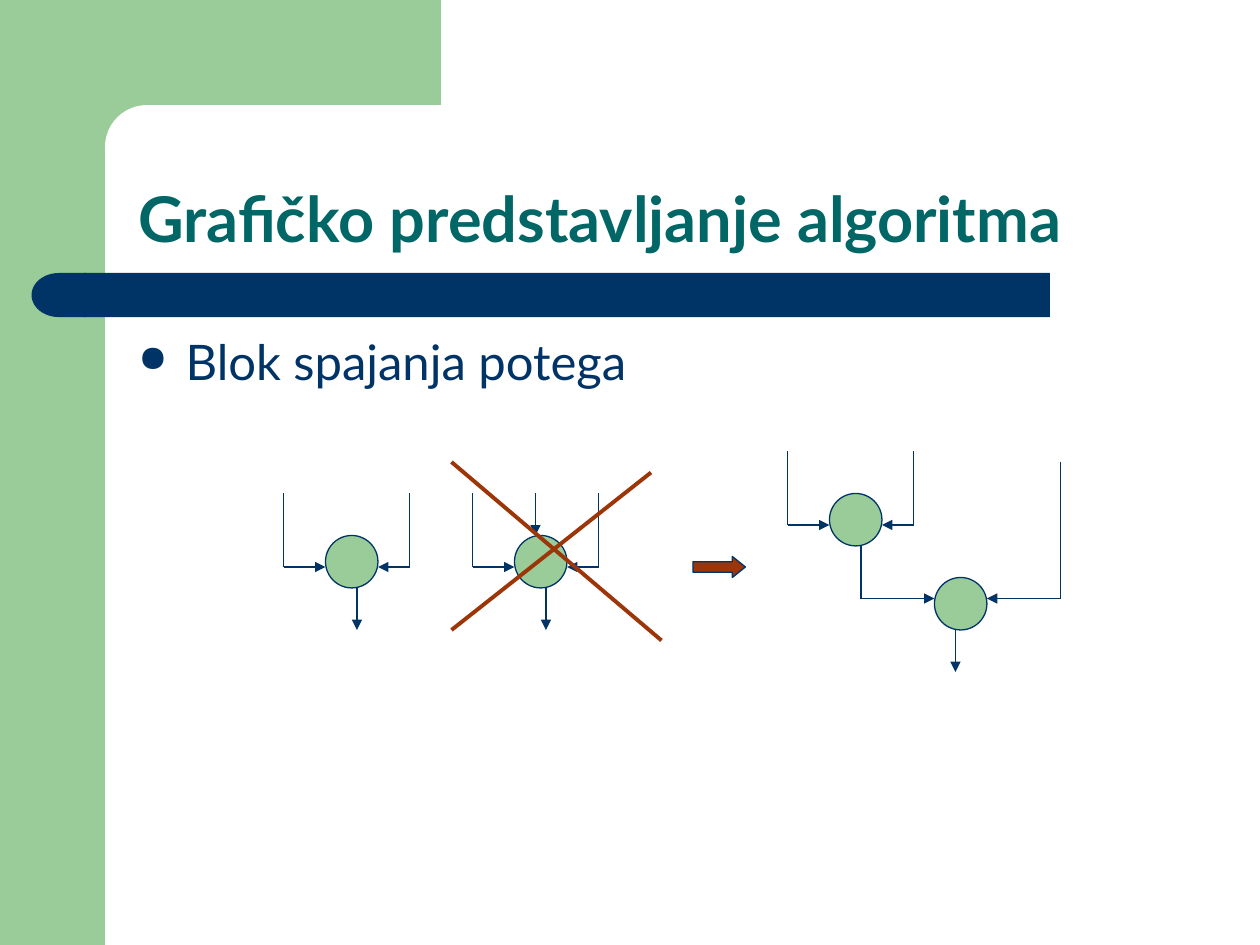
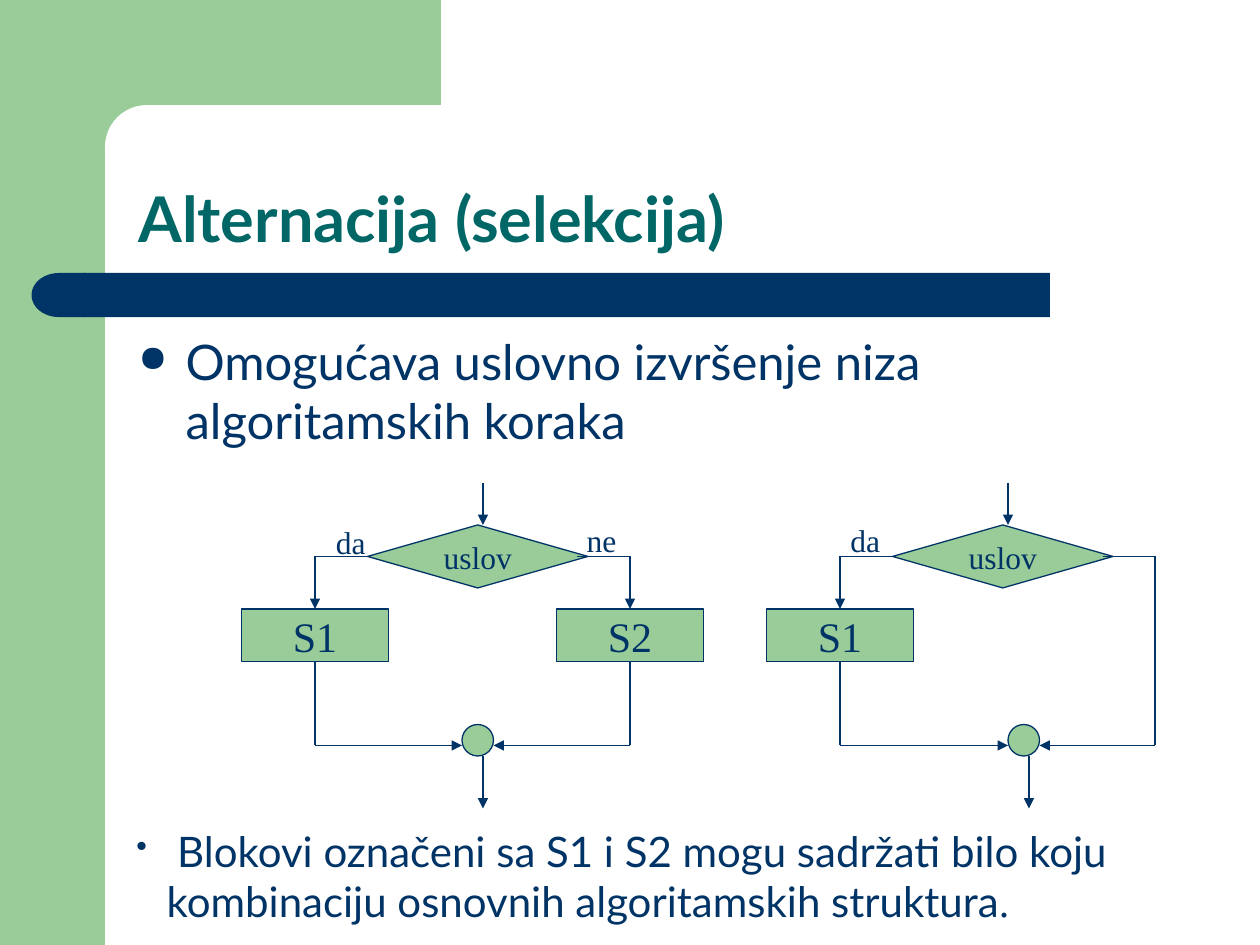
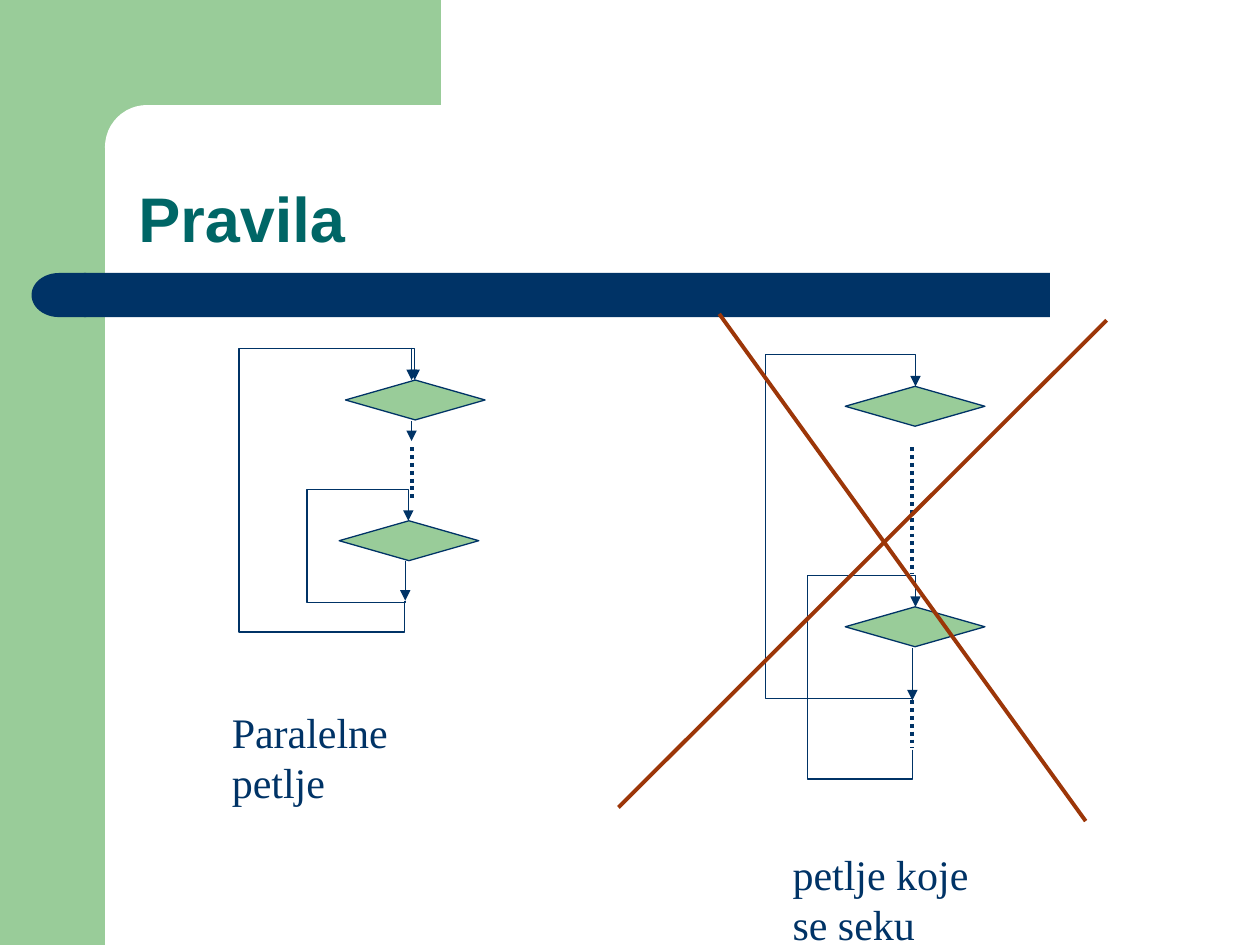
from lxml import etree
from pptx import Presentation
from pptx import util as u
from pptx.dml.color import RGBColor
from pptx.enum import dml, shapes, text
from pptx.oxml.ns import qn

# Shared style
PX = 7620  # EMU per px, 120 px to the inch
GREEN, NAVY, TEAL, RUST, WHITE = "99CC99", "003366", "006666", "9C3608", "FFFFFF"
LATO, ARIAL, TIMES = "Lato", "Arial", "Times New Roman"
S = shapes.MSO_SHAPE
BANDS = [  # kind, box, colour
    (S.RECTANGLE, (0, 0, 100, 900), GREEN),
    (S.RECTANGLE, (90, 0, 330, 140), GREEN),
    (S.ROUNDED_RECTANGLE, (100, 100, 670, 80), WHITE),
    (S.RECTANGLE, (80, 260, 920, 42), NAVY),
    (S.FLOWCHART_DELAY, (30, 260, 52, 42), NAVY),
]

# Content: title, title font, bullet
SLIDES = [
    ("Grafičko predstavljanje algoritma", LATO, "Blok spajanja potega"),
    ("Alternacija (selekcija)", LATO,
     "Omogućava uslovno izvršenje niza algoritamskih koraka"),
    ("Pravila", ARIAL, None),
]
CLOSING = [
    (" ", TIMES),
    ("Blokovi označeni sa S1 i S2 mogu sadržati bilo koju kombinaciju "
     "osnovnih algoritamskih struktura", LATO),
    (".", TIMES),
]

# Slide 1: joins as circle corner, two incoming paths, outgoing x and y range
JOINS = [
    ((310, 510), (270, 470), (390, 470), (340, 560, 600)),
    ((490, 510), (450, 470), (570, 470), (520, 560, 600)),
    ((790, 470), (750, 430), (870, 430), None),
    ((890, 550), (820, 520), (1010, 440), (910, 600, 640)),
]
JOIN_CROSS = [((620, 450), (430, 600)), ((430, 440), (630, 610))]

# Slide 2: offset, join circle x, label of the else branch, else block
BRANCHES = [(0, 440, "ne", "S2"), (500, 960, None, None)]
BRANCH_LABELS = [("da", 308, 492), ("ne", 547, 490), ("da", 798, 490)]

# Slide 3: diamonds, arrows and dots as (x, top, bottom), loops
DIAMONDS = [(329, 362), (323, 496), (805, 368), (805, 578)]
ARROWS = [(392, 331, 362), (392, 401, 420), (386, 534, 572), (869, 617, 667)]
DOTS = [(392, 426, 476), (869, 426, 547), (869, 667, 712)]
LOOPS = [  # start, end, left, bottom, top
    ((385, 572), (395, 362), 228, 602, 332),
    ((386, 572), (389, 496), 293, 574, 466),
    ((869, 666), (872, 368), 730, 665, 338),
    ((869, 714), (872, 578), 770, 742, 548),
]
LOOP_CROSS = [((685, 299), (1034, 782)), ((1054, 305), (589, 769))]
CAPTIONS = [(["Paralelne", "petlje"], (209, 667, 182, 108)),
            (["petlje koje", "se seku"], (743, 802, 192, 108))]


def rgb(color):
    return RGBColor.from_string(color)


def emu(*lengths):
    return [round(v * PX) for v in lengths]


def style_run(r, font, size, color=NAVY, bold=False):
    r.font.name, r.font.size, r.font.bold = font, u.Pt(size), bold
    r.font.color.rgb = rgb(color)


def add_bullet(p, char, hang):
    pPr = p._p.get_or_add_pPr()
    pPr.set("marL", str(hang * PX))
    pPr.set("indent", str(-hang * PX))
    clr = etree.SubElement(pPr, qn("a:buClr"))
    etree.SubElement(clr, qn("a:srgbClr"), val=NAVY)
    etree.SubElement(pPr, qn("a:buSzPct"), val="75000")
    etree.SubElement(pPr, qn("a:buChar"), char=char)


def add_text(s, lines, box, font, size, color=NAVY, bold=False, wrap=True, grow=False):
    tf = s.shapes.add_textbox(*emu(*box)).text_frame
    tf.word_wrap = wrap
    if grow:
        tf.auto_size = text.MSO_AUTO_SIZE.SHAPE_TO_FIT_TEXT
    for i, line in enumerate(lines):
        p = tf.add_paragraph() if i else tf.paragraphs[0]
        p.text = line
        style_run(p.runs[0], font, size, color, bold)
    return tf


def add_shape(s, kind, box, fill=GREEN, line=NAVY, label=None, size=18):
    sp = s.shapes.add_shape(kind, *emu(*box))
    sp.shadow.inherit = False
    sp.fill.solid()
    sp.fill.fore_color.rgb = rgb(fill)
    if line:
        sp.line.color.rgb, sp.line.width = rgb(line), u.Pt(0.75)
    else:
        sp.line.fill.background()
    if label:
        tf = sp.text_frame
        tf.text, tf.word_wrap = label, False
        tf.vertical_anchor = text.MSO_ANCHOR.MIDDLE
        p = tf.paragraphs[0]
        p.alignment = text.PP_ALIGN.CENTER
        style_run(p.runs[0], TIMES, size)
    return sp


def add_line(s, start, end, arrow=False, color=NAVY, width=0.75, dash=None,
             kind=shapes.MSO_CONNECTOR.STRAIGHT):
    c = s.shapes.add_connector(kind, *emu(*start, *end))
    c.line.color.rgb, c.line.width = rgb(color), u.Pt(width)
    if dash:
        c.line.dash_style = dash
    if arrow:
        etree.SubElement(c.line._get_or_add_ln(), qn("a:tailEnd"), type="triangle")
    etree.SubElement(c._element.spPr, qn("a:effectLst"))
    return c


def add_path(s, *points):
    """Straight segments through the points, with an arrowhead on the last."""
    for i, (start, end) in enumerate(zip(points, points[1:]), 2):
        add_line(s, start, end, arrow=i == len(points))


def add_cross(s, strokes):
    for start, end in strokes:
        add_line(s, start, end, color=RUST, width=2.25)


def add_loop(s, start, end, left, bottom, top):
    """Five-part elbow that runs below its start, round the left and down to its end."""
    (x0, y0), (x1, y1) = start, end
    length, shift = y0 - y1, x1 - x0
    c = add_line(s, start, end, arrow=True, kind=shapes.MSO_CONNECTOR.ELBOW)
    c.left, c.top, c.width, c.height = emu(
        (x0 + x1 - length) / 2, (y0 + y1 - shift) / 2, length, shift)
    xfrm = c._element.spPr.find(qn("a:xfrm"))
    for name, value in (("rot", "5400000"), ("flipH", "1"), ("flipV", "1")):
        xfrm.set(name, value)
    geom = c._element.spPr.find(qn("a:prstGeom"))
    geom.set("prst", "bentConnector5")
    av = geom.find(qn("a:avLst"))
    if av is None:
        av = etree.SubElement(geom, qn("a:avLst"))
    ratios = (y0 - bottom) / length, (left - x0) / shift, (y0 - top) / length
    for i, ratio in enumerate(ratios, 1):
        etree.SubElement(av, qn("a:gd"), name=f"adj{i}", fmla=f"val {round(ratio * 100000)}")


def add_base(prs, title, font, bullet):
    s = prs.slides.add_slide(prs.slide_layouts[6])
    for kind, box, color in BANDS:
        sp = add_shape(s, kind, box, color, None)
        if kind == S.ROUNDED_RECTANGLE:
            sp.adjustments[0] = 0.5
        elif kind == S.FLOWCHART_DELAY:
            sp.rotation = 180
    tf = add_text(s, [title], (120, 100, 1050, 150), font, 36, TEAL, True)
    tf.vertical_anchor = text.MSO_ANCHOR.BOTTOM
    tf.paragraphs[0].line_spacing = 0.9
    if bullet:
        p = add_text(s, [bullet], (120, 310, 1050, 490), LATO, 28).paragraphs[0]
        p.space_before = u.Pt(7)
        add_bullet(p, "●", 45)
    return s


def draw_joins(s):
    for (x, y), left, right, out in JOINS:
        add_shape(s, S.FLOWCHART_CONNECTOR, (x, y, 50, 50))
        level = y + (20 if (x, y) == JOINS[-1][0] else 30)
        add_path(s, left, (left[0], level), (x, level))
        add_path(s, right, (right[0], level), (x + 50, level))
        if out:
            add_path(s, (out[0], out[1]), (out[0], out[2]))
    add_path(s, (510, 470), (510, 510))  # third input of the wrong join
    add_cross(s, JOIN_CROSS)
    add_line(s, (820, 520), (820, 520 + 1))
    arrow = add_shape(s, S.RIGHT_ARROW, (660, 530, 50, 20), RUST)
    arrow.adjustments[1] = 0.624


def draw_branches(s):
    for dx, join, no, block in BRANCHES:
        yes_x, no_x = 300 + dx, 600 + dx
        add_shape(s, S.FLOWCHART_DECISION, (350 + dx, 500, 210, 60), label="uslov")
        add_path(s, (460 + dx, 460), (460 + dx, 500))
        add_path(s, (350 + dx, 530), (yes_x, 530), (yes_x, 580))
        add_path(s, (yes_x, 630), (yes_x, 710), (join, 710))
        add_shape(s, S.RECTANGLE, (230 + dx, 580, 140, 50), label="S1", size=24)
        start, end = (550 + dx, 530), (join + 30, 710)
        if block:
            add_path(s, start, (no_x, 530), (no_x, 580))
            add_shape(s, S.RECTANGLE, (530 + dx, 580, 140, 50), label=block, size=24)
            add_path(s, (no_x, 630), (no_x, 710), end)
        else:
            add_path(s, start, (no_x, 530), (no_x, 710), end)
        add_shape(s, S.FLOWCHART_CONNECTOR, (join, 690, 30, 30))
        add_path(s, (join + 20, 720), (join + 20, 770))
    for label, x, y in BRANCH_LABELS:
        add_text(s, [label], (x, y, 52, 48), TIMES, 18, wrap=False, grow=True)
    # Closing remark
    tf = s.shapes.add_textbox(*emu(118, 780, 1075, 108)).text_frame
    tf.word_wrap = True
    p = tf.paragraphs[0]
    add_bullet(p, "•", 29)
    for words, font in CLOSING:
        r = p.add_run()
        r.text = words
        style_run(r, font, 24)


def draw_loops(s):
    for x, y in DIAMONDS:
        add_shape(s, S.FLOWCHART_DECISION, (x, y, 133, 38))
    for x, top, bottom in DOTS:
        add_line(s, (x, top), (x, bottom), width=2.25, dash=dml.MSO_LINE.ROUND_DOT)
    for x, top, bottom in ARROWS:
        add_path(s, (x, top), (x, bottom))
    for loop in LOOPS:
        add_loop(s, *loop)
    add_cross(s, LOOP_CROSS)
    for lines, box in CAPTIONS:
        add_text(s, lines, box, TIMES, 24, wrap=False, grow=True)


def main():
    prs = Presentation()
    prs.slide_width, prs.slide_height = emu(1200, 900)
    for content, draw in zip(SLIDES, (draw_joins, draw_branches, draw_loops)):
        draw(add_base(prs, *content))
    prs.save("out.pptx")


if __name__ == "__main__":
    main()
